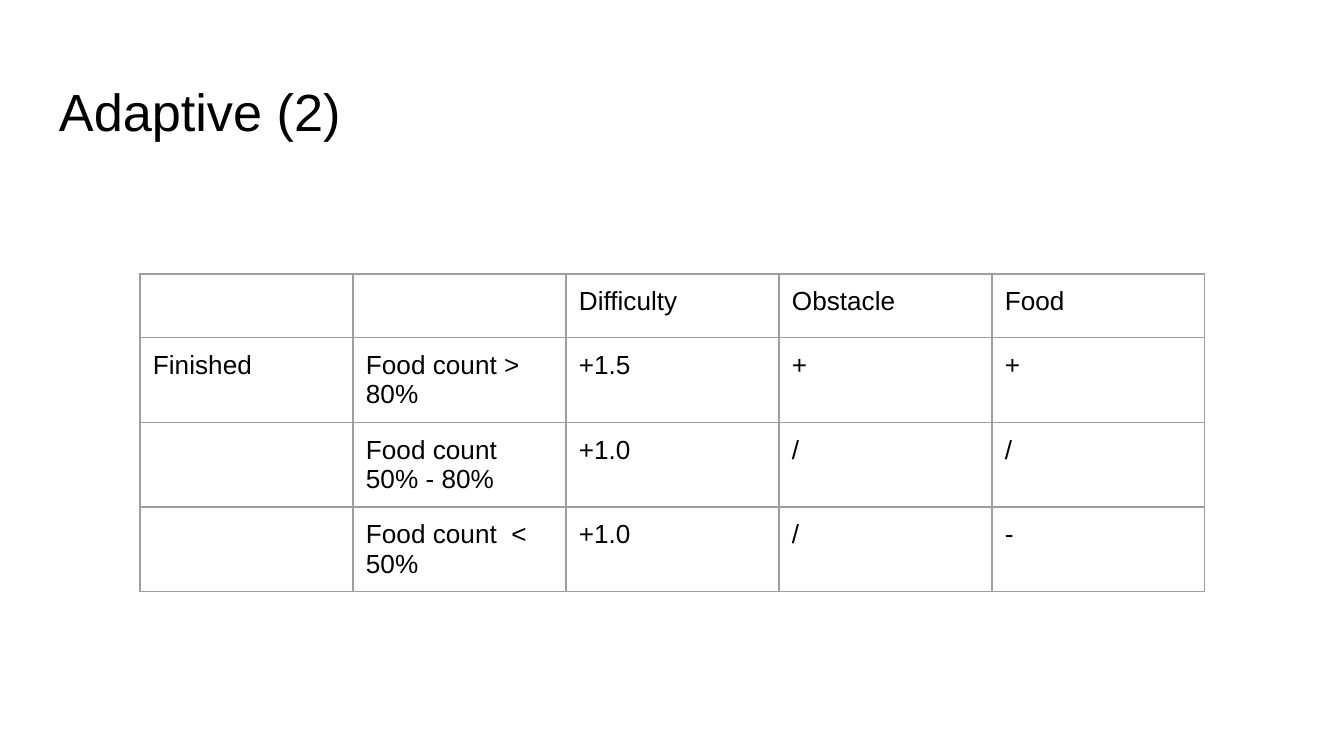
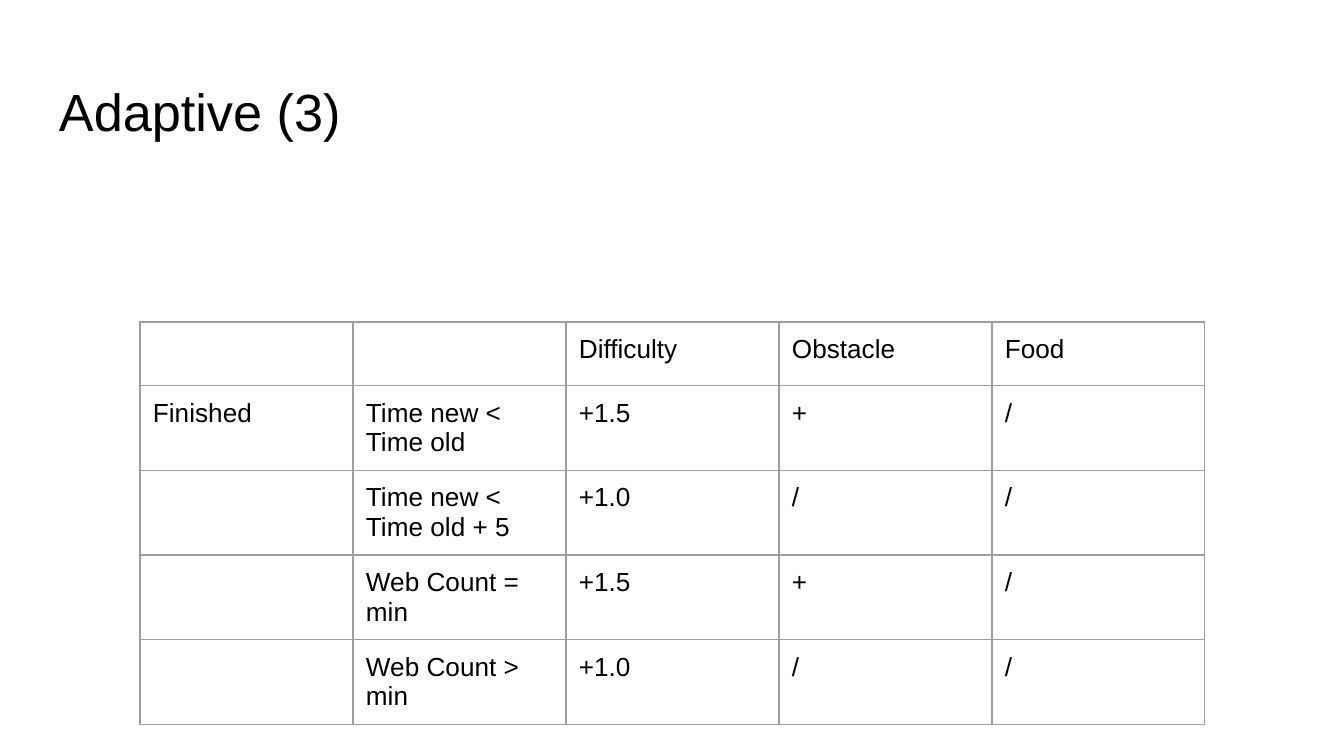
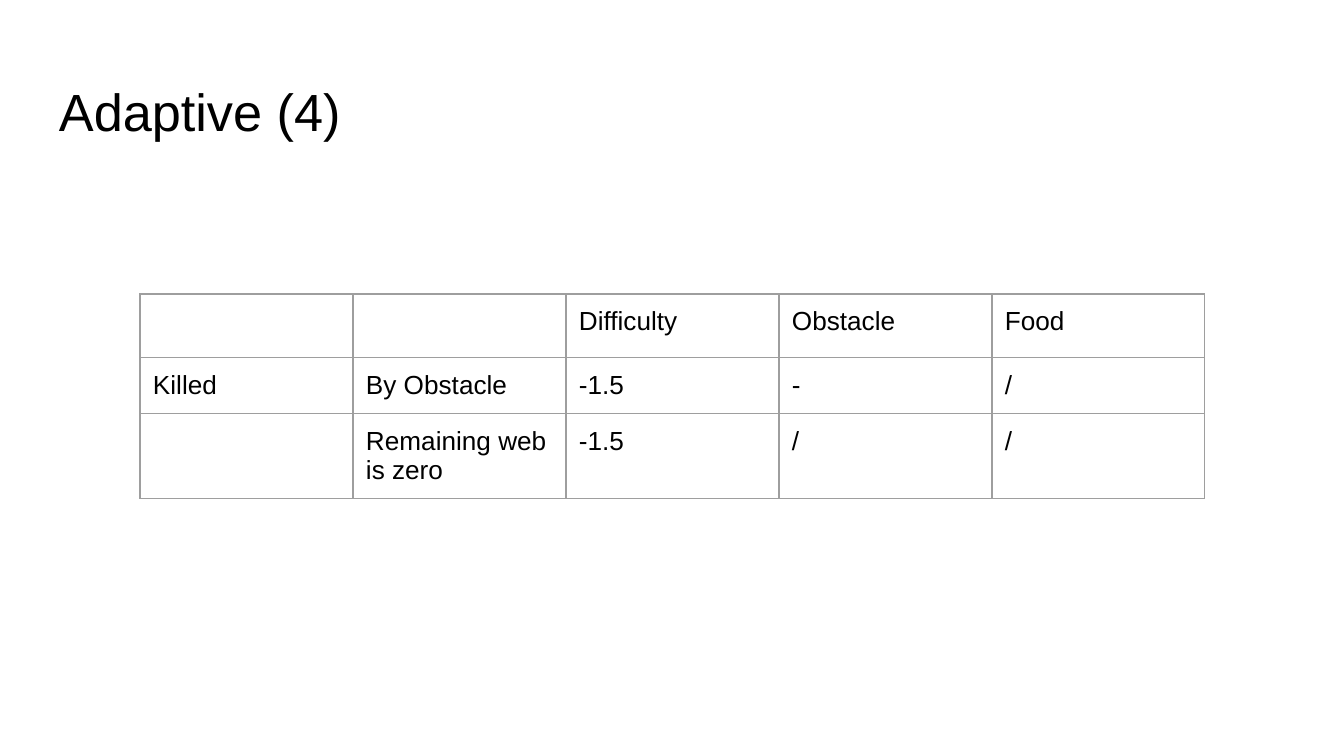
from lxml import etree
from pptx import Presentation
from pptx.dml.color import RGBColor
from pptx.enum.text import MSO_ANCHOR, MSO_AUTO_SIZE, PP_ALIGN
from pptx.oxml.ns import qn
from pptx.util import Pt

TOP = MSO_ANCHOR.TOP
LEFT = PP_ALIGN.LEFT
NO_AUTOFIT = MSO_AUTO_SIZE.NONE

HEADER = ("", "", "Difficulty", "Obstacle", "Food")
SLIDES = [
    {"title": "Adaptive (2)", "table_top": 274, "outcomes": [
        ("Finished", "Food count > 80%", "+1.5", "+", "+"),
        ("", "Food count  50% - 80%", "+1.0", "/", "/"),
        ("", "Food count  < 50%", "+1.0", "/", "-"),
    ]},
    {"title": "Adaptive (3)", "table_top": 322, "outcomes": [
        ("Finished", "Time new < Time old", "+1.5", "+", "/"),
        ("", "Time new < Time old + 5", "+1.0", "/", "/"),
        ("", "Web Count = min", "+1.5", "+", "/"),
        ("", "Web Count > min", "+1.0", "/", "/"),
    ]},
    {"title": "Adaptive (4)", "table_top": 294, "outcomes": [
        ("Killed", "By Obstacle", "-1.5", "-", "/"),
        ("", "Remaining web is zero", "-1.5", "/", "/"),
    ]},
]

FONT = "Arial"
BLACK = "000000"
GRID_GREY = "9E9E9E"
TITLE_SIZE, CELL_SIZE, EMPTY_CELL_SIZE = 28, 14, 18
GRID_WIDTH = 0.75

SLIDE_WIDTH, SLIDE_HEIGHT = 1344, 756
TITLE_BOX = (46, 66, 1253, 85)
TABLE_LEFT, COLUMN_WIDTH, ROW_HEIGHT = 140, 213, 56
INSET = 13


def px(length):
    return round(length * 914400 / 134.4)


def color(hex_value):
    return RGBColor.from_string(hex_value)


def inset(target):
    target.margin_left = target.margin_right = px(INSET)
    target.margin_top = target.margin_bottom = px(INSET)


def add_run(paragraph, text, size):
    run = paragraph.add_run()
    run.text = text
    run.font.name = FONT
    run.font.size = Pt(size)
    run.font.color.rgb = color(BLACK)


def add_title(slide, text):
    title = slide.shapes.title
    title.left, title.top, title.width, title.height = map(px, TITLE_BOX)
    frame = title.text_frame
    frame.auto_size = NO_AUTOFIT
    frame.word_wrap = True
    frame.vertical_anchor = TOP
    inset(frame)
    paragraph = frame.paragraphs[0]
    paragraph.alignment = LEFT
    add_run(paragraph, text, TITLE_SIZE)


def draw_borders(cell):
    properties = cell._tc.get_or_add_tcPr()
    for side in ("a:lnL", "a:lnR", "a:lnT", "a:lnB"):
        line = etree.SubElement(properties, qn(side), w=str(Pt(GRID_WIDTH)))
        fill = etree.SubElement(line, qn("a:solidFill"))
        etree.SubElement(fill, qn("a:srgbClr"), val=GRID_GREY)


def set_empty_line(paragraph):
    """Give a cell without text the line height of its font."""
    end = etree.SubElement(paragraph._p, qn("a:endParaRPr"), sz=str(EMPTY_CELL_SIZE * 100))
    etree.SubElement(end, qn("a:latin"), typeface=FONT)


def fill_cell(cell, text):
    inset(cell)
    draw_borders(cell)
    cell.fill.background()
    paragraph = cell.text_frame.paragraphs[0]
    if text:
        add_run(paragraph, text, CELL_SIZE)
    else:
        set_empty_line(paragraph)


def add_outcome_table(slide, top, outcomes):
    rows = [HEADER, *outcomes]
    table = slide.shapes.add_table(
        len(rows), len(HEADER), px(TABLE_LEFT), px(top),
        px(COLUMN_WIDTH * len(HEADER)), px(ROW_HEIGHT * len(rows))).table
    table.first_row = table.horz_banding = False
    for column in table.columns:
        column.width = px(COLUMN_WIDTH)
    for r, row in enumerate(rows):
        table.rows[r].height = px(ROW_HEIGHT)
        for c, text in enumerate(row):
            fill_cell(table.cell(r, c), text)


def main():
    deck = Presentation()
    deck.slide_width, deck.slide_height = px(SLIDE_WIDTH), px(SLIDE_HEIGHT)
    title_only = deck.slide_layouts.get_by_name("Title Only")
    for content in SLIDES:
        slide = deck.slides.add_slide(title_only)
        add_title(slide, content["title"])
        add_outcome_table(slide, content["table_top"], content["outcomes"])
    deck.save("out.pptx")


if __name__ == "__main__":
    main()
